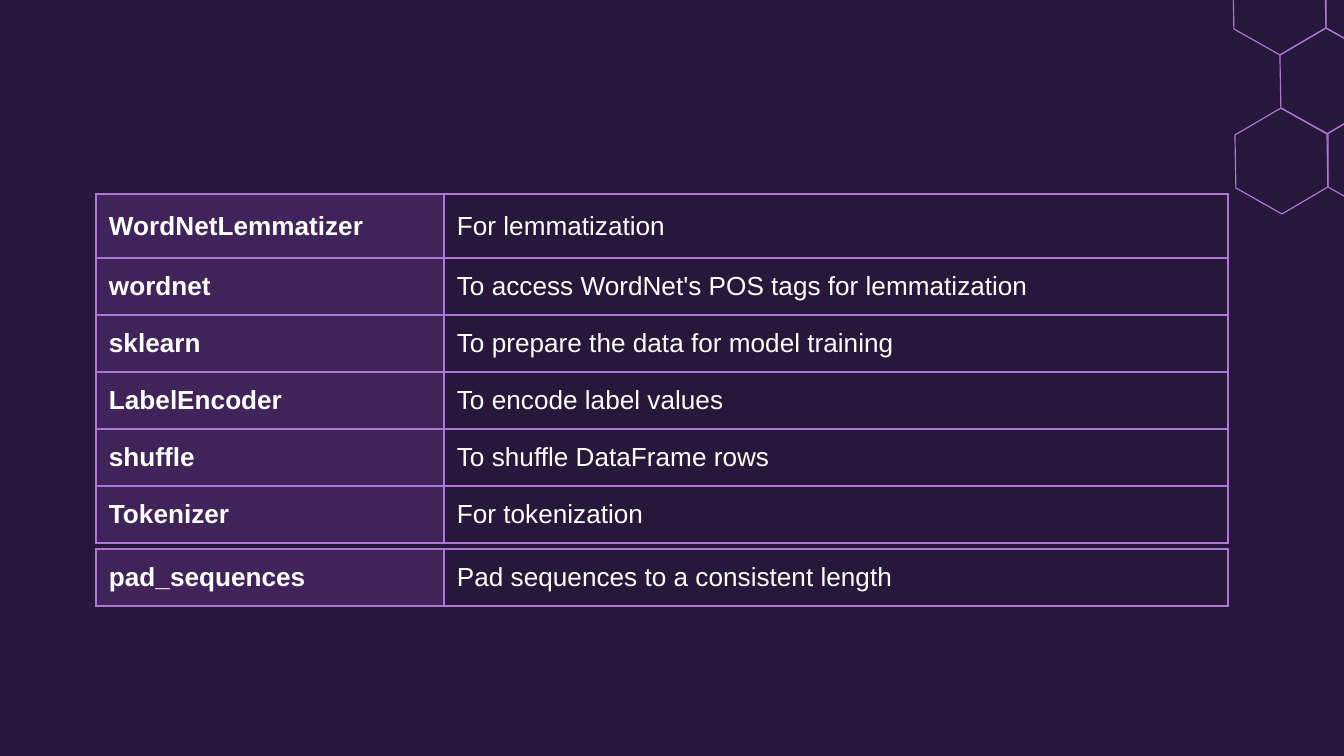
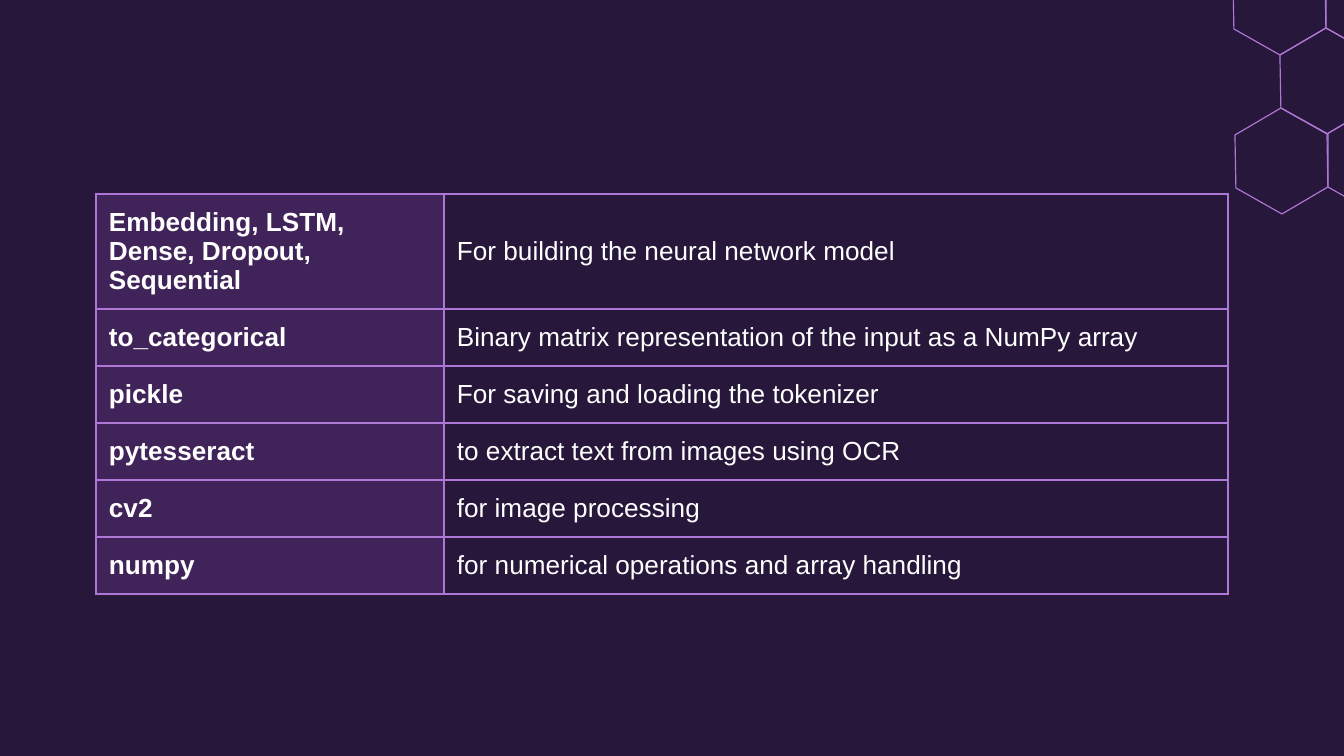
from dataclasses import dataclass
from typing import Any

from lxml import etree
from pptx import Presentation
from pptx.dml.color import RGBColor
from pptx.enum.text import MSO_ANCHOR
from pptx.oxml.ns import qn
from pptx.slide import Slide
from pptx.table import _Cell
from pptx.util import Emu, Pt

MIDDLE = MSO_ANCHOR.MIDDLE

EMU_PER_PX = 914400 / 134.4
PAGE_WIDTH, PAGE_HEIGHT = 1344, 756

NIGHT = RGBColor(0x27, 0x17, 0x3A)
PLUM = RGBColor(0x73, 0x3C, 0x9B)
LILAC = RGBColor(0xAE, 0x77, 0xD6)
WHITE = RGBColor(0xFF, 0xFF, 0xFF)
NAME_ALPHA = 33000
BORDER_WIDTH = Pt(1.5)
HEXAGON_WIDTH = Pt(0.61)

TABLE_LEFT, TABLE_TOP = 96, 194
COLUMN_WIDTHS = (348, 784)
ROW_HEIGHT = 57
CELL_INSET = 13

HEXAGON_ORIGIN = (1282, 161)
STEP_ACROSS, STEP_UP = (92, -1), (45, -80)
HEXAGON_CELLS = ((0, 0), (1, 0), (0, 1), (-1, 2), (0, 2))
HEXAGON_CORNERS = ((46, -27), (46, 26), (0, 53), (-46, 27), (-47, -26), (-1, -53))

FONT_FORMAT = {"name": "Arial", "size": Pt(14)}
PLAIN_TABLE = {"first_row": False, "horz_banding": False}


@dataclass(frozen=True)
class Library:
    """A library or class and what it is used for."""

    name: str
    purpose: str


@dataclass(frozen=True)
class LibraryTable:
    """A block of libraries with its top edge and first row height."""

    top: int
    first_height: int
    libraries: tuple[Library, ...]


PAGES = (
    (
        LibraryTable(TABLE_TOP, 64, (
            Library("WordNetLemmatizer", "For lemmatization"),
            Library("wordnet", "To access WordNet's POS tags for lemmatization"),
            Library("sklearn", "To prepare the data for model training"),
            Library("LabelEncoder", "To encode label values"),
            Library("shuffle", "To shuffle DataFrame rows"),
            Library("Tokenizer", "For tokenization"),
        )),
        LibraryTable(549, ROW_HEIGHT, (
            Library("pad_sequences", "Pad sequences to a consistent length"),
        )),
    ),
    (
        LibraryTable(TABLE_TOP, 115, (
            Library("Embedding, LSTM, Dense, Dropout, Sequential",
                    "For building the neural network model"),
            Library("to_categorical",
                    "Binary matrix representation of the input as a NumPy array"),
            Library("pickle", "For saving and loading the tokenizer"),
            Library("pytesseract", "to extract text from images using OCR"),
            Library("cv2", "for image processing"),
            Library("numpy", "for numerical operations and array handling"),
        )),
    ),
)


def px(length: int) -> Emu:
    """Turn a length in px into EMU."""
    return Emu(round(length * EMU_PER_PX))


CELL_FORMAT = {
    "vertical_anchor": MIDDLE,
    **{f"margin_{side}": px(CELL_INSET) for side in ("left", "right", "top", "bottom")},
}


def apply_format(target: Any, values: dict[str, Any]) -> None:
    """Set each named attribute on the target."""
    for name, value in values.items():
        setattr(target, name, value)


def draw_hexagons(page: Slide) -> None:
    """Draw the honeycomb in the upper right corner."""
    for across, up in HEXAGON_CELLS:
        x, y = (
            start + across * step + up * rise
            for start, step, rise in zip(HEXAGON_ORIGIN, STEP_ACROSS, STEP_UP)
        )
        corners = [(x + dx, y + dy) for dx, dy in HEXAGON_CORNERS]
        builder = page.shapes.build_freeform(*corners[0], scale=EMU_PER_PX)
        builder.add_line_segments(corners[1:], close=True)
        hexagon = builder.convert_to_shape()
        hexagon.shadow.inherit = False
        hexagon.fill.background()
        hexagon.line.color.rgb = LILAC
        hexagon.line.width = HEXAGON_WIDTH


def draw_borders(cell: _Cell) -> None:
    """Put the same solid border on all four sides of a cell."""
    properties = cell._tc.get_or_add_tcPr()
    for position, side in enumerate(("lnL", "lnR", "lnT", "lnB")):
        border = etree.Element(qn(f"a:{side}"), w=str(BORDER_WIDTH))
        fill = etree.SubElement(border, qn("a:solidFill"))
        etree.SubElement(fill, qn("a:srgbClr"), val=str(LILAC))
        properties.insert(position, border)


def fill_cell(cell: _Cell, text: str, is_name: bool) -> None:
    """Write one cell, with a tinted fill and bold text for a name."""
    apply_format(cell, CELL_FORMAT)
    if is_name:
        cell.fill.solid()
        cell.fill.fore_color.rgb = PLUM
        color = cell._tc.tcPr.find(f".//{qn('a:srgbClr')}")
        etree.SubElement(color, qn("a:alpha"), val=str(NAME_ALPHA))
    else:
        cell.fill.background()
    draw_borders(cell)
    para = cell.text_frame.paragraphs[0]
    if not is_name:
        para.space_after = Pt(16)
    span = para.add_run()
    span.text = text
    apply_format(span.font, FONT_FORMAT | {"bold": is_name})
    span.font.color.rgb = WHITE


def draw_table(page: Slide, block: LibraryTable) -> None:
    """Draw a two-column table of libraries and purposes."""
    heights = [block.first_height] + [ROW_HEIGHT] * (len(block.libraries) - 1)
    table = page.shapes.add_table(
        len(heights), len(COLUMN_WIDTHS), px(TABLE_LEFT), px(block.top),
        px(sum(COLUMN_WIDTHS)), px(sum(heights)),
    ).table
    apply_format(table, PLAIN_TABLE)
    for column, width in zip(table.columns, COLUMN_WIDTHS):
        column.width = px(width)
    for row, height, library in zip(table.rows, heights, block.libraries):
        row.height = px(height)
        fill_cell(row.cells[0], library.name, True)
        fill_cell(row.cells[1], library.purpose, False)


def main() -> None:
    """Build and save the deck."""
    deck = Presentation()
    apply_format(deck, {"slide_width": px(PAGE_WIDTH), "slide_height": px(PAGE_HEIGHT)})
    background = deck.slide_master.background.fill
    background.solid()
    background.fore_color.rgb = NIGHT
    for blocks in PAGES:
        page = deck.slides.add_slide(deck.slide_layouts[6])
        draw_hexagons(page)
        for block in blocks:
            draw_table(page, block)
    deck.save("out.pptx")


if __name__ == "__main__":
    main()
